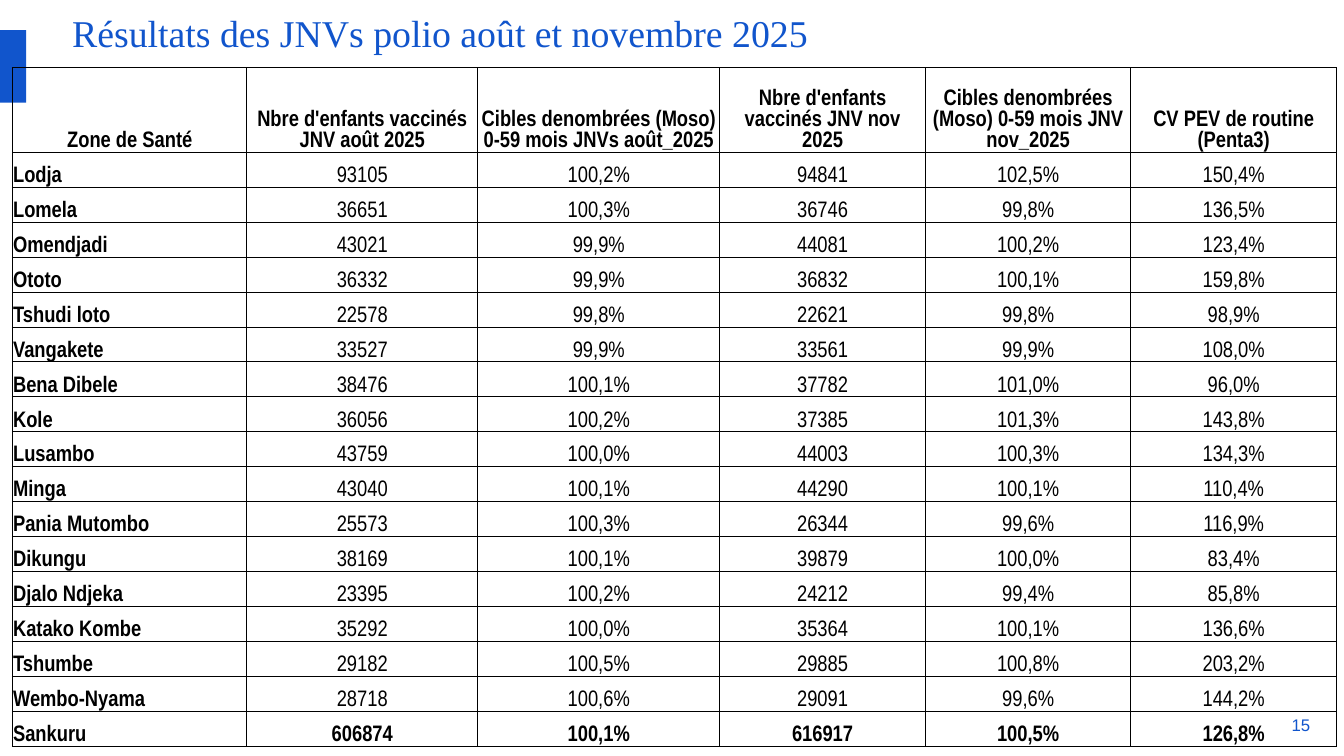
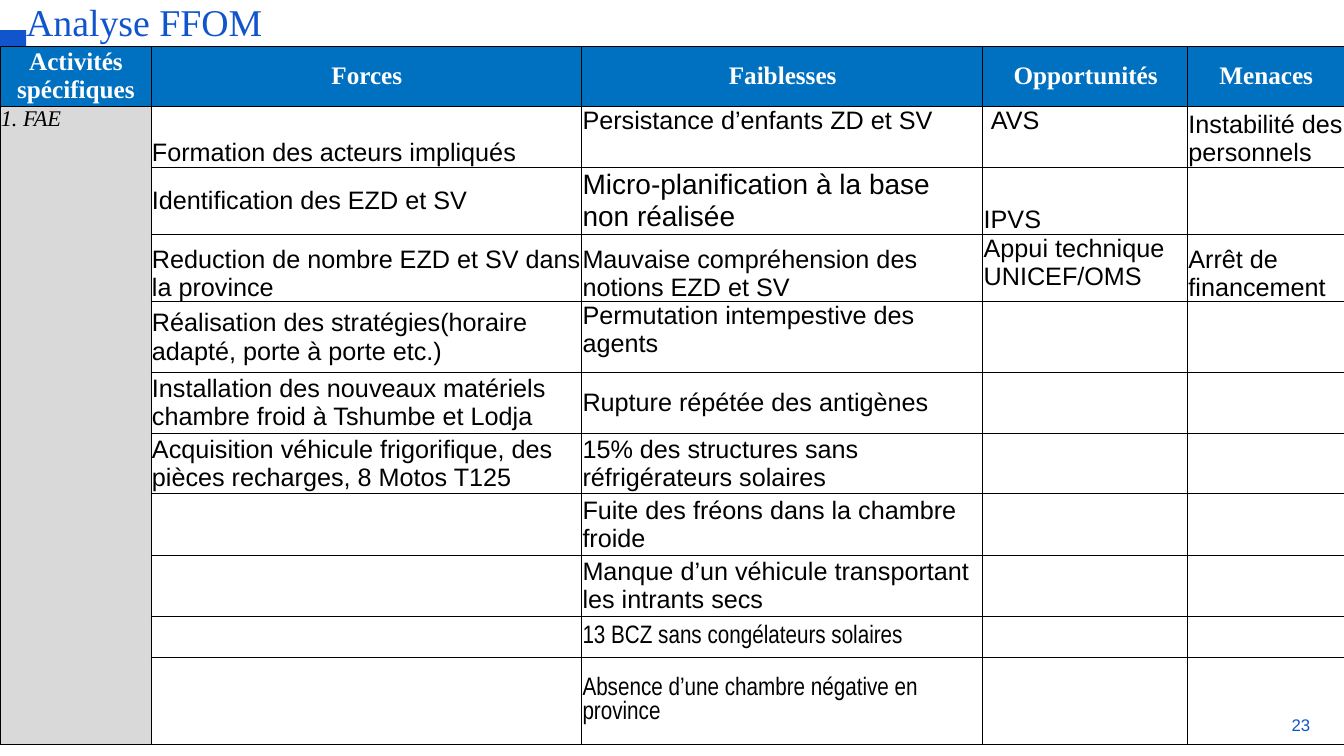
from dataclasses import dataclass

from lxml import etree
from pptx import Presentation
from pptx.dml.color import RGBColor
from pptx.enum.shapes import MSO_SHAPE
from pptx.enum.text import MSO_ANCHOR, PP_ALIGN
from pptx.oxml.ns import qn
from pptx.util import Cm, Pt

TOP, MIDDLE, BOTTOM = MSO_ANCHOR.TOP, MSO_ANCHOR.MIDDLE, MSO_ANCHOR.BOTTOM
LEFT, CENTER, RIGHT = PP_ALIGN.LEFT, PP_ALIGN.CENTER, PP_ALIGN.RIGHT
RECTANGLE = MSO_SHAPE.RECTANGLE


@dataclass(frozen=True)
class Theme:
    accent: str = "1155CC"
    header: str = "0070C0"
    side: str = "D9D9D9"
    ink: str = "000000"
    paper: str = "FFFFFF"
    serif: str = "Times New Roman"
    sans: str = "Arial"
    narrow: str = "Arial Narrow"
    title_size: int = 27
    large_size: int = 20
    body_size: int = 18
    small_size: int = 16
    number_size: int = 12
    border: float = 0.75


THEME = Theme()

TITLE_FONT = {"name": THEME.serif, "size": THEME.title_size, "color": THEME.accent}
NUMBER_FONT = {"name": THEME.sans, "size": THEME.number_size, "color": THEME.accent}
RESULT_FONT = {"name": THEME.narrow, "size": THEME.small_size, "color": THEME.ink}
HEADER_FONT = {"name": THEME.serif, "size": THEME.body_size, "color": THEME.paper, "bold": True}
ACTIVITY_FONT = {"name": THEME.serif, "size": THEME.small_size, "color": THEME.ink, "italic": True}
BODY_FONT = {"name": THEME.sans, "size": THEME.body_size, "color": THEME.ink}
LARGE_FONT = {**BODY_FONT, "size": THEME.large_size}
NARROW_FONT = {**BODY_FONT, "name": THEME.narrow}

RESULTS = {
    "title": "Résultats des JNVs polio août et novembre 2025",
    "title_at": (1.82, 0.25, 31.6, 1.22),
    "number": "15",
    "table_at": (0.31, 1.7),
    "columns": [5.9, 5.82, 6.1, 5.18, 5.18, 5.18],
    "header_height": 2.14,
    "row_height": 0.88,
    "headers": [
        "Zone de Santé",
        "Nbre d'enfants vaccinés JNV août 2025",
        "Cibles denombrées (Moso) 0-59 mois JNVs août_2025",
        "Nbre d'enfants vaccinés JNV nov\v2025",
        "Cibles denombrées (Moso) 0-59 mois JNV nov_2025",
        "CV PEV de routine (Penta3)",
    ],
    "zones": [
        ("Lodja", "93105", "100,2%", "94841", "102,5%", "150,4%"),
        ("Lomela", "36651", "100,3%", "36746", "99,8%", "136,5%"),
        ("Omendjadi", "43021", "99,9%", "44081", "100,2%", "123,4%"),
        ("Ototo", "36332", "99,9%", "36832", "100,1%", "159,8%"),
        ("Tshudi loto", "22578", "99,8%", "22621", "99,8%", "98,9%"),
        ("Vangakete", "33527", "99,9%", "33561", "99,9%", "108,0%"),
        ("Bena Dibele", "38476", "100,1%", "37782", "101,0%", "96,0%"),
        ("Kole", "36056", "100,2%", "37385", "101,3%", "143,8%"),
        ("Lusambo", "43759", "100,0%", "44003", "100,3%", "134,3%"),
        ("Minga", "43040", "100,1%", "44290", "100,1%", "110,4%"),
        ("Pania Mutombo", "25573", "100,3%", "26344", "99,6%", "116,9%"),
        ("Dikungu", "38169", "100,1%", "39879", "100,0%", "83,4%"),
        ("Djalo Ndjeka", "23395", "100,2%", "24212", "99,4%", "85,8%"),
        ("Katako Kombe", "35292", "100,0%", "35364", "100,1%", "136,6%"),
        ("Tshumbe", "29182", "100,5%", "29885", "100,8%", "203,2%"),
        ("Wembo-Nyama", "28718", "100,6%", "29091", "99,6%", "144,2%"),
    ],
    "total": ("Sankuru", "606874", "100,1%", "616917", "100,5%", "126,8%"),
}

ANALYSIS = {
    "title": "Analyse FFOM",
    "title_at": (0.66, -0.04, 31.8, 1.09),
    "number": "23",
    "table_at": (0, 1.16),
    "columns": [3.81, 10.85, 10.11, 5.16, 3.94],
    "rows": [1.5, 1.49, 1.65, 1.7, 1.79, 1.49, 1.49, 1.56, 1.49, 1.03, 2.2],
    "headers": ["Activités spécifiques", "Forces", "Faiblesses", "Opportunités", "Menaces"],
    "activity": "1. FAE",
    # Each column lists (text, anchor, optional cell format) from the top row down.
    "points": [
        [
            ("Formation des acteurs impliqués", BOTTOM),
            ("Identification des EZD et SV", MIDDLE),
            ("Reduction de nombre EZD et SV dans la province", BOTTOM),
            ("Réalisation des stratégies(horaire adapté, porte à porte etc.)", MIDDLE),
            ("Installation des nouveaux matériels chambre froid à Tshumbe et Lodja", MIDDLE),
            ("Acquisition véhicule frigorifique, des pièces recharges, 8 Motos T125", MIDDLE),
        ],
        [
            ("Persistance d’enfants ZD et SV", TOP),
            ("Micro-planification à la base non réalisée", MIDDLE, {"font": LARGE_FONT}),
            ("Mauvaise compréhension des notions EZD et SV", BOTTOM),
            ("Permutation intempestive des agents", TOP),
            ("Rupture répétée des antigènes", MIDDLE),
            ("15% des structures sans réfrigérateurs solaires", MIDDLE),
            ("Fuite des fréons dans la chambre froide", MIDDLE),
            ("Manque d’un véhicule transportant les intrants secs", MIDDLE),
            ("13 BCZ sans congélateurs solaires", MIDDLE, {"font": NARROW_FONT}),
            ("Absence d’une chambre négative en province", MIDDLE, {"font": NARROW_FONT}),
        ],
        [
            ("AVS", TOP, {"left": 0.2}),
            ("IPVS", BOTTOM),
            ("Appui technique UNICEF/OMS", TOP),
        ],
        [
            ("Instabilité des personnels", BOTTOM),
            ("", TOP),
            ("Arrêt de financement", BOTTOM),
        ],
    ],
}


def format_text(frame, text, font, align):
    frame.text = text
    paragraph = frame.paragraphs[0]
    paragraph.alignment = align
    for span in paragraph.runs:
        for name, value in font.items():
            if name == "color":
                span.font.color.rgb = RGBColor.from_string(value)
            else:
                setattr(span.font, name, Pt(value) if name == "size" else value)


def add_text(page, at, text, font, align=LEFT, anchor=TOP):
    frame = page.shapes.add_textbox(*map(Cm, at)).text_frame
    settings = {"word_wrap": True, "vertical_anchor": anchor, "margin_left": 0,
                "margin_right": 0, "margin_top": 0, "margin_bottom": 0}
    for name, value in settings.items():
        setattr(frame, name, value)
    format_text(frame, text, font, align)


def add_page(deck, content):
    """Add a slide with the title, side band and number that all slides share."""
    page = deck.slides.add_slide(deck.slide_layouts[6])
    add_text(page, content["title_at"], content["title"], TITLE_FONT)
    band = page.shapes.add_shape(RECTANGLE, 0, Cm(0.76), Cm(0.66), Cm(1.83))
    band.shadow.inherit = False
    band.fill.solid()
    band.fill.fore_color.rgb = RGBColor.from_string(THEME.accent)
    band.line.fill.background()
    add_text(page, (32.39, 18.03, 0.63, 0.46), content["number"], NUMBER_FONT, RIGHT, MIDDLE)
    return page


def add_grid(page, content, row_heights):
    widths = content["columns"]
    left, top = content["table_at"]
    table = page.shapes.add_table(
        len(row_heights), len(widths), Cm(left), Cm(top),
        Cm(sum(widths)), Cm(sum(row_heights))).table
    table.first_row = table.horz_banding = False
    for column, width in zip(table.columns, widths):
        column.width = Cm(width)
    for row, height in zip(table.rows, row_heights):
        row.height = Cm(height)
    for cell in table.iter_cells():
        add_borders(cell)
        cell.fill.background()
    return table


def add_borders(cell):
    properties = cell._tc.get_or_add_tcPr()
    for side in ("lnL", "lnR", "lnT", "lnB"):
        line = etree.SubElement(properties, qn(f"a:{side}"), w=str(Pt(THEME.border)))
        fill = etree.SubElement(line, qn("a:solidFill"))
        etree.SubElement(fill, qn("a:srgbClr"), val=THEME.ink)


def fill_cell(cell, text, anchor, font=BODY_FONT, align=LEFT, fill=None, left=0.02):
    settings = {"vertical_anchor": anchor, "margin_left": Cm(left),
                "margin_right": 0, "margin_top": 0, "margin_bottom": 0}
    for name, value in settings.items():
        setattr(cell, name, value)
    if fill:
        cell.fill.solid()
        cell.fill.fore_color.rgb = RGBColor.from_string(fill)
    format_text(cell.text_frame, text, font, align)


def build_results(deck):
    page = add_page(deck, RESULTS)
    lines = [RESULTS["headers"], *RESULTS["zones"], RESULTS["total"]]
    last = len(lines) - 1
    table = add_grid(page, RESULTS, [RESULTS["header_height"]] + [RESULTS["row_height"]] * last)
    for row, line in enumerate(lines):
        for column, text in enumerate(line):
            font = {**RESULT_FONT, "bold": column == 0 or row in (0, last)}
            align = LEFT if column == 0 and row > 0 else CENTER
            fill_cell(table.cell(row, column), text, BOTTOM, font, align)


def build_analysis(deck):
    page = add_page(deck, ANALYSIS)
    table = add_grid(page, ANALYSIS, ANALYSIS["rows"])
    for column, text in enumerate(ANALYSIS["headers"]):
        fill_cell(table.cell(0, column), text, MIDDLE, HEADER_FONT, CENTER, THEME.header)
    activity = table.cell(1, 0)
    activity.merge(table.cell(len(ANALYSIS["rows"]) - 1, 0))
    fill_cell(activity, ANALYSIS["activity"], TOP, ACTIVITY_FONT, fill=THEME.side)
    for column, points in enumerate(ANALYSIS["points"], 1):
        for row, (text, anchor, *extra) in enumerate(points, 1):
            fill_cell(table.cell(row, column), text, anchor, **(extra[0] if extra else {}))


def main():
    deck = Presentation()
    deck.slide_width, deck.slide_height = Cm(33.87), Cm(19.05)
    build_results(deck)
    build_analysis(deck)
    deck.save("out.pptx")


if __name__ == "__main__":
    main()
